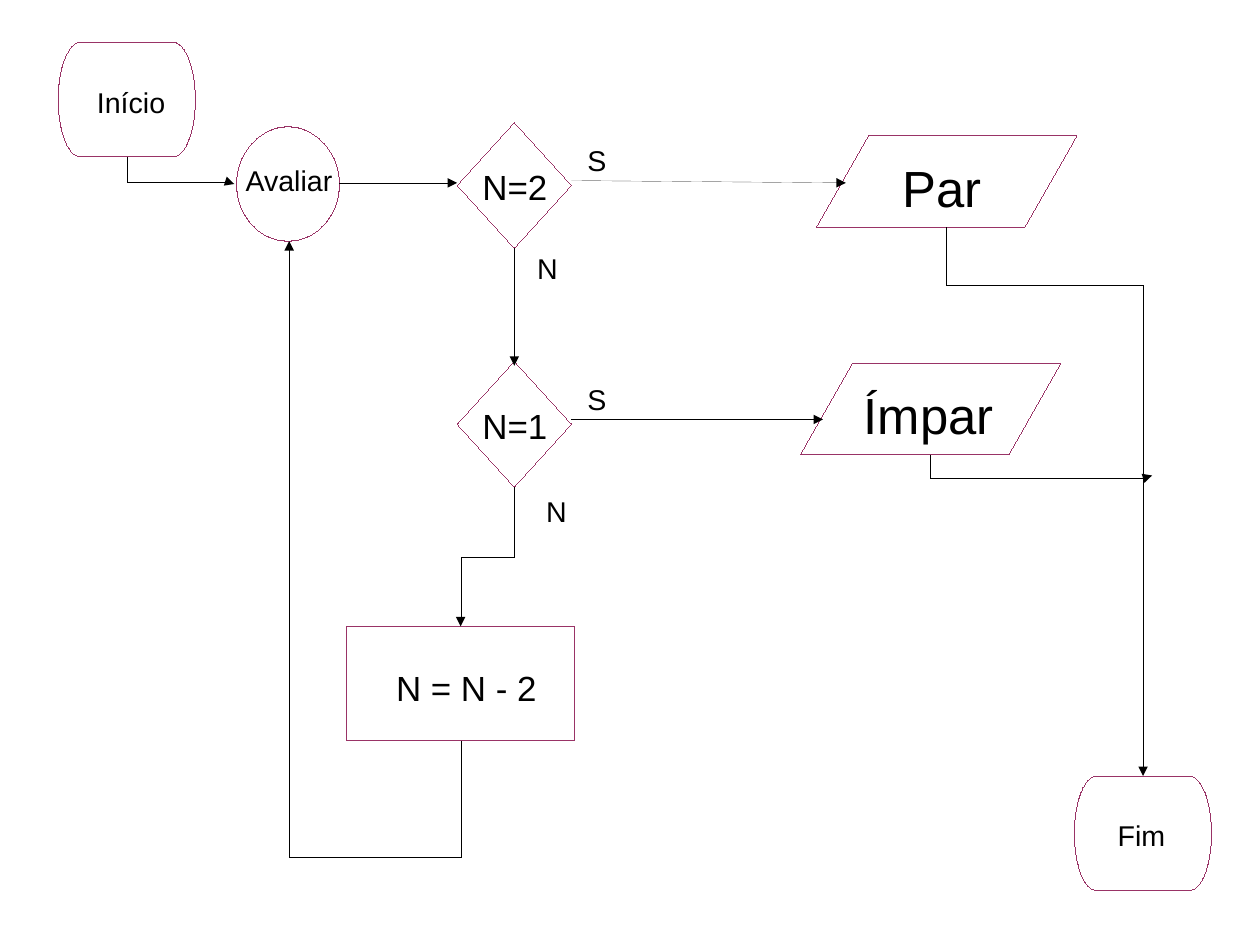
from lxml.etree import SubElement
from pptx import Presentation
from pptx.dml.color import RGBColor
from pptx.enum.shapes import MSO_CONNECTOR, MSO_SHAPE
from pptx.enum.text import MSO_ANCHOR, MSO_AUTO_SIZE, PP_ALIGN
from pptx.oxml.ns import qn
from pptx.util import Cm, Emu, Inches, Pt

PLUM = RGBColor(0x99, 0x33, 0x66)
BLACK = RGBColor(0, 0, 0)
HAIRLINE = Emu(1)
FONT = "Arial"
SMALL, MEDIUM, LARGE = 18, 22, 32

# Grid with one-inch cells: column centres and row centres of the flow
CELL = Inches(1)
START_X, EVAL_X, STEP_X, TEST_X, END_X = 1.11, 2.52, 4.03, 4.5, 10
EVEN_X, ODD_X = 8.28, 8.14
EVEN_Y, ODD_Y, STEP_Y, END_Y = 1.62, 3.71, 5.98, 7.29
START_Y, EVAL_Y = 0.87, 1.61


def cells(*values):
    return [round(v * CELL) for v in values]


def node(s, kind, cx, cy, w, h):
    """Outlined flowchart symbol centred on a grid point."""
    sp = s.shapes.add_shape(kind, *cells(cx - w / 2, cy - h / 2, w, h))
    sp.shadow.inherit = False
    sp.fill.background()
    sp.line.color.rgb = PLUM
    sp.line.width = HAIRLINE


def label(s, text, x, y, w, h, size=SMALL, align=PP_ALIGN.LEFT, wrap=False):
    tf = s.shapes.add_textbox(*cells(x, y, w, h)).text_frame
    tf.word_wrap = wrap
    tf.auto_size = MSO_AUTO_SIZE.SHAPE_TO_FIT_TEXT
    tf.vertical_anchor = MSO_ANCHOR.TOP
    p = tf.paragraphs[0]
    p.text = text
    p.alignment = align
    p.font.name = FONT
    p.font.size = Pt(size)
    p.font.color.rgb = BLACK


def arrow(s, x1, y1, x2, y2, kind=MSO_CONNECTOR.STRAIGHT):
    cxn = s.shapes.add_connector(kind, *cells(x1, y1, x2, y2))
    cxn.line.color.rgb = BLACK
    cxn.line.width = HAIRLINE
    SubElement(cxn.line._get_or_add_ln(), qn("a:tailEnd"), type="triangle")
    SubElement(cxn._element.spPr, qn("a:effectLst"))
    return cxn


def elbow(s, x1, y1, x2, y2, turn_y):
    """Arrow that runs vertically, crosses at turn_y, then runs vertically."""
    cxn = arrow(s, x1, y1, x2, y2, MSO_CONNECTOR.ELBOW)
    w, h = abs(y2 - y1), abs(x2 - x1)
    cxn.left, cxn.top, cxn.width, cxn.height = cells(
        (x1 + x2 - w) / 2, (y1 + y2 - h) / 2, w, h)
    right, up = x2 > x1, y2 < y1
    xfrm = cxn._element.spPr.find(qn("a:xfrm"))
    xfrm.set("rot", str((270 if right or up else 90) * 60000))
    xfrm.set("flipH", str(int(right)))
    xfrm.set("flipV", str(int(up)))
    share = round((turn_y - y1) / (y2 - y1) * 100000)
    guides = cxn._element.spPr.find(qn("a:prstGeom")).get_or_add_avLst()
    SubElement(guides, qn("a:gd"), name="adj1", fmla=f"val {share}")


def draw_symbols(s):
    for cx, cy in ((START_X, START_Y), (END_X, END_Y)):
        node(s, MSO_SHAPE.FLOWCHART_TERMINATOR, cx, cy, 1.2, 1)
    for cy in (EVEN_Y, ODD_Y):
        node(s, MSO_SHAPE.FLOWCHART_DECISION, TEST_X, cy, 1, 1.1)
    for cx, cy in ((EVEN_X, 1.59), (ODD_X, 3.58)):
        node(s, MSO_SHAPE.FLOWCHART_DATA, cx, cy, 2.28, 0.8)
    node(s, MSO_SHAPE.FLOWCHART_PROCESS, STEP_X, STEP_Y, 2, 1)
    node(s, MSO_SHAPE.FLOWCHART_CONNECTOR, EVAL_X, EVAL_Y, 0.9, 1)


def draw_labels(s):
    label(s, "Início", 0.75, 0.69, 0.8, 0.38)
    label(s, "Avaliar", 2.05, 1.38, 0.96, 0.38)
    label(s, "Fim", 9.68, 7.11, 0.64, 0.38)
    label(s, "Par", 7.8, 1.32, 0.99, 0.6, LARGE, wrap=True)
    label(s, "Ímpar", 7.46, 3.31, 1.45, 0.67, LARGE, wrap=True)
    label(s, "N = N - 2", 3.33, 5.78, 1.5, 0.5, MEDIUM, PP_ALIGN.CENTER, True)
    for text, cy in (("N=2", EVEN_Y), ("N=1", ODD_Y)):
        label(s, text, 4.12, cy - 0.22, 0.77, 0.44, MEDIUM, PP_ALIGN.CENTER)
        label(s, "S", 5.04, cy - 0.42, 0.36, 0.38)
    label(s, "N", 4.6, 2.15, 0.38, 0.38)
    label(s, "N", 4.68, 4.27, 0.38, 0.38)


def draw_arrows(s):
    arrow(s, 2.97, 1.6, 4, 1.6)
    arrow(s, 5, 1.58, 7.4, 1.6)
    arrow(s, 5, 3.67, 7.2, 3.67)
    arrow(s, TEST_X, 2.17, TEST_X, 3.2)
    elbow(s, START_X, 1.37, 2.05, 1.61, turn_y=1.59)
    elbow(s, EVEN_X, 1.99, END_X, 6.79, turn_y=2.5)
    elbow(s, ODD_X, 3.98, 10.08, 4.16, turn_y=4.18)
    elbow(s, TEST_X, 4.26, STEP_X, 5.48, turn_y=4.87)
    elbow(s, STEP_X, 6.48, 2.53, 2.11, turn_y=7.5)


def main():
    prs = Presentation()
    prs.slide_width = Cm(28)
    prs.slide_height = Cm(21)
    s = prs.slides.add_slide(prs.slide_layouts[6])
    draw_symbols(s)
    draw_labels(s)
    draw_arrows(s)
    prs.save("out.pptx")


if __name__ == "__main__":
    main()
